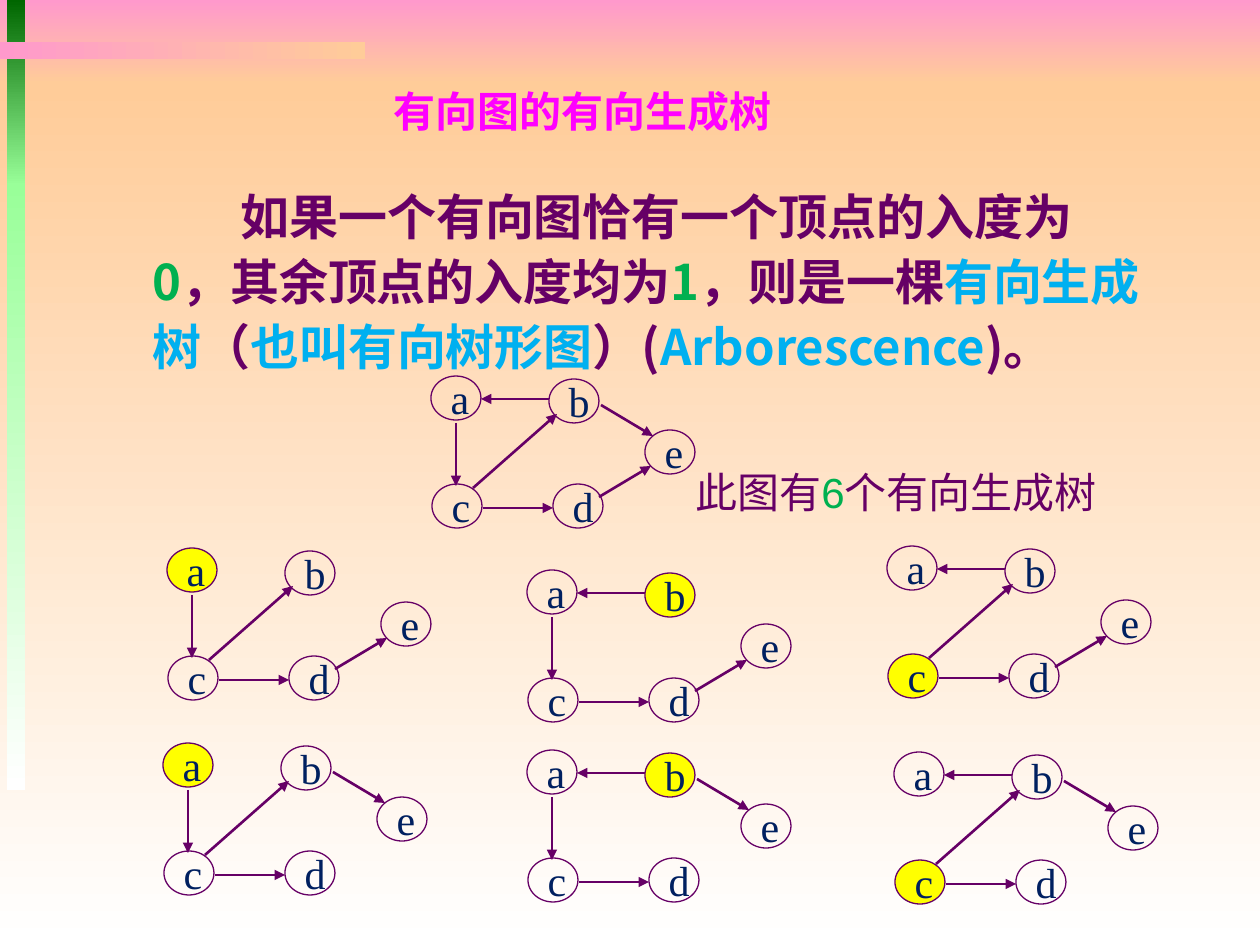
from dataclasses import dataclass

from lxml.etree import SubElement as Sub
from pptx import Presentation as Deck
from pptx.dml.color import RGBColor as Rgb
from pptx.enum.shapes import MSO_CONNECTOR as Conn, MSO_SHAPE as Kind
from pptx.enum.text import MSO_ANCHOR as Anchor, PP_ALIGN as Align
from pptx.oxml.ns import qn
from pptx.util import Emu, Pt

SCALE = 914400 / 126


@dataclass(frozen=True)
class Theme:
    """Colours, fonts and type sizes of the slide."""

    plum: str = "660066"
    navy: str = "002060"
    pink: str = "FF99CC"
    peach: str = "FFCC99"
    white: str = "FFFFFF"
    forest: str = "006600"
    mint: str = "99FF99"
    green: str = "00B050"
    sky: str = "00B0F0"
    magenta: str = "FF00FF"
    yellow: str = "FFFF00"
    serif: str = "Times New Roman"
    sans: str = "Arial"
    han: str = "Noto Sans CJK SC"
    body: int = 28
    text: int = 24


T = Theme()
NODE = (50, 44)
NODES = {"a": (0, 0), "b": (118, 3), "c": (1, 108), "d": (122, 108), "e": (214, 54)}
EDGES = {
    "ac": (25, 47, 25, 110),
    "ba": (118, 23, 50, 23),
    "cd": (52, 132, 122, 132),
    "cb": (42, 112, 126, 38),
    "de": (168, 121, 220, 90),
    "be": (170, 29, 222, 60),
}
GRAPHS = [
    (431, 376, "", "ac ba cd cb de be"),
    (167, 548, "a", "ac cd cb de"),
    (163, 743, "a", "ac cd cb be"),
    (527, 570, "b", "ac ba cd de"),
    (527, 750, "b", "ac ba cd be"),
    (887, 546, "c", "ba cd cb de"),
    (894, 752, "c", "ba cd cb be"),
]
BANDS = [
    ((0, 0, 1260, 84), T.pink, T.peach, 270),
    ((0, 84, 1260, 861), T.peach, T.white, 270),
    ((7, 0, 18, 186), T.forest, T.mint, 270),
    ((7, 184, 18, 606), T.mint, T.white, 270),
    ((0, 42, 365, 17), T.pink, T.peach, 0),
]
BODY = [
    ("如果一个有向图恰有一个顶点的入度为", T.plum),
    ("0", T.green),
    ("，其余顶点的入度均为", T.plum),
    ("1", T.green),
    ("，则是一棵", T.plum),
    ("有向生成树", T.sky),
    ("（", T.plum),
    ("也叫有向树形图", T.sky),
    ("）(", T.plum),
    ("Arborescence", T.sky),
    (")。", T.plum),
]
NOTE = [("此图有", T.plum), ("6", T.green), ("个有向生成树", T.plum)]


def px(*vals):
    """Turn pixel lengths into EMU."""
    return [Emu(round(v * SCALE)) for v in vals]


def write(frame, runs, font=T.serif, size=T.text, bold=False, wrap=True, indent=0, pitch=None):
    """Write coloured runs as one left-aligned paragraph."""
    frame.word_wrap = wrap
    para = frame.paragraphs[0]
    para.alignment = Align.LEFT
    if pitch:
        para.line_spacing = Pt(pitch)
    if indent:
        para._p.get_or_add_pPr().set("indent", str(px(indent)[0]))
    for words, tint in runs:
        run = para.add_run()
        run.text = words
        face = run.font
        face.name, face.size, face.bold = font, Pt(size), bold
        face.color.rgb = Rgb.from_string(tint)
        Sub(run._r.get_or_add_rPr(), qn("a:ea"), typeface=T.han)


def label(slide, box, runs, **form):
    """Add a text box and return its frame."""
    frame = slide.shapes.add_textbox(*px(*box)).text_frame
    write(frame, runs, **form)
    return frame


def band(slide, box, start, end, angle):
    """Add a rectangle with a two-colour gradient."""
    rect = slide.shapes.add_shape(Kind.RECTANGLE, *px(*box))
    rect.shadow.inherit = False
    rect.line.fill.background()
    rect.fill.gradient()
    rect.fill.gradient_angle = angle
    for stop, tint in zip(rect.fill.gradient_stops, (start, end)):
        stop.color.rgb = Rgb.from_string(tint)


def node(group, name, left, top, root):
    """Add a named vertex, filled when it is the root."""
    oval = group.shapes.add_shape(Kind.OVAL, *px(left, top, *NODE))
    oval.shadow.inherit = False
    if root:
        oval.fill.solid()
        oval.fill.fore_color.rgb = Rgb.from_string(T.yellow)
    else:
        oval.fill.background()
    oval.line.color.rgb = Rgb.from_string(T.plum)
    oval.line.width = Pt(0.75)
    oval.text_frame.vertical_anchor = Anchor.MIDDLE
    write(oval.text_frame, [(name, T.navy)], wrap=False)


def arrow(group, ends):
    """Add a directed edge."""
    edge = group.shapes.add_connector(Conn.STRAIGHT, *px(*ends))
    edge.line.color.rgb = Rgb.from_string(T.plum)
    edge.line.width = Pt(1.5)
    Sub(edge.get_or_add_ln(), qn("a:tailEnd"), type="triangle")
    Sub(edge._element.spPr, qn("a:effectLst"))


def graph(slide, left, top, root, edges):
    """Add a grouped graph with the chosen edges."""
    group = slide.shapes.add_group_shape()
    for name, (x, y) in NODES.items():
        node(group, name, left + x, top + y, name == root)
    for key in edges.split():
        x, y, u, v = EDGES[key]
        arrow(group, (left + x, top + y, left + u, top + v))


def main():
    """Build and save the slide."""
    deck = Deck()
    deck.slide_width, deck.slide_height = px(1260, 945)
    slide = deck.slides.add_slide(deck.slide_layouts[6])
    for item in BANDS:
        band(slide, *item)
    body = label(slide, (140, 170, 1017, 227), BODY, font=T.han, size=T.body,
                 bold=True, indent=88, pitch=37)
    body.margin_top = px(11)[0]
    label(slide, (381, 79, 410, 63), [("有向图的有向生成树", T.magenta)], bold=True, wrap=False)
    for item in GRAPHS:
        graph(slide, *item)
    label(slide, (683, 460, 475, 63), NOTE, font=T.sans)
    deck.save("out.pptx")


if __name__ == "__main__":
    main()
